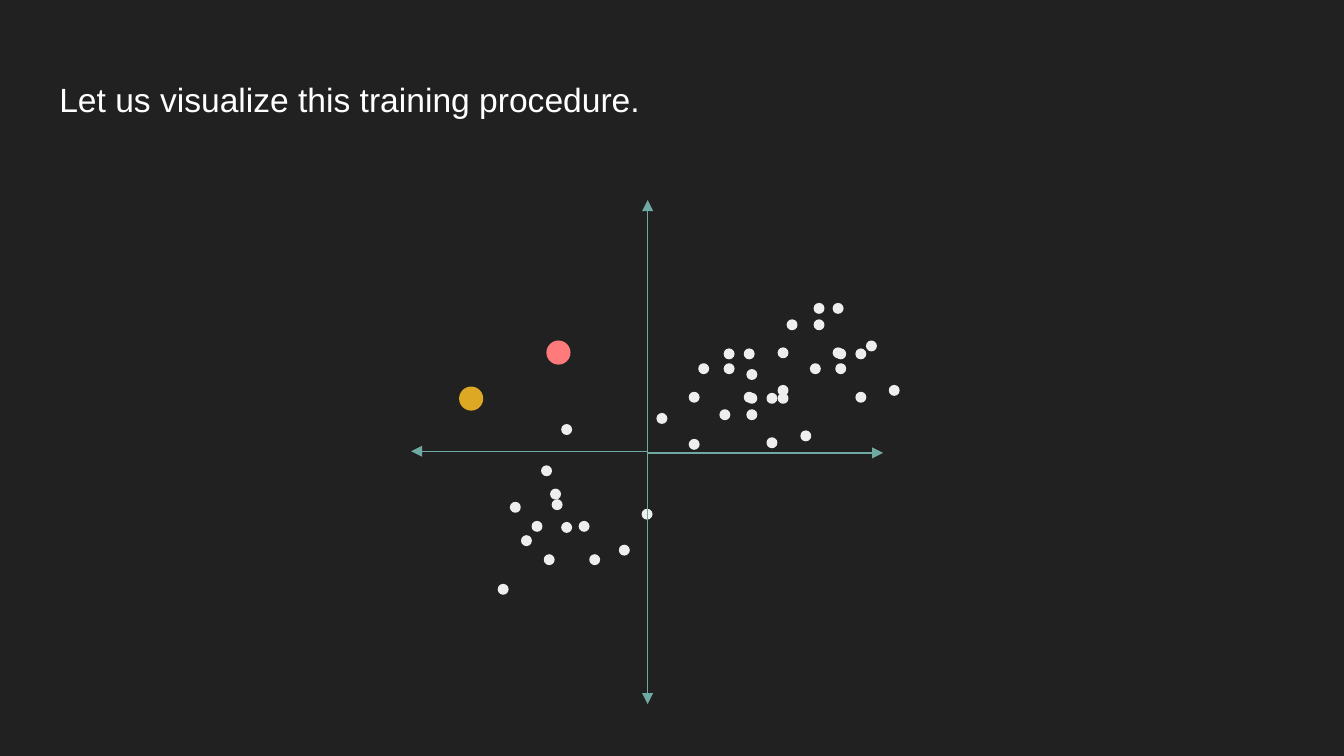
from pptx import Presentation
from pptx.dml.color import RGBColor
from pptx.enum.shapes import MSO_CONNECTOR, MSO_SHAPE
from pptx.enum.text import MSO_ANCHOR, MSO_AUTO_SIZE, PP_ALIGN
from pptx.oxml.ns import qn
from pptx.util import Cm, Pt
from lxml import etree

BACKGROUND = RGBColor(0x21, 0x21, 0x21)
WHITE = RGBColor(0xFF, 0xFF, 0xFF)
TEAL = RGBColor(0x70, 0xA9, 0xA1)
LIGHT = RGBColor(0xEE, 0xEE, 0xEE)
GOLD = RGBColor(0xDD, 0xA8, 0x24)
CORAL = RGBColor(0xFF, 0x7A, 0x7A)

DOT, CENTROID = 0.18, 0.43  # diameters in cm

# Left and top of each data point, in cm
LOWER_LEFT = [
    (10.29, 10.49), (11.71, 10.31), (10.44, 9.45), (10.62, 8.03), (12.14, 9.63),
    (9.86, 10.13), (10.62, 9.88), (11.15, 10.49), (9.42, 11.05), (10.06, 9.86),
    (10.24, 8.81), (9.65, 9.5), (10.41, 9.25), (10.95, 9.86),
]
UPPER_RIGHT = [
    (13.69, 6.6), (14.07, 7.42), (12.42, 7.82), (14.07, 6.6), (13.03, 8.31),
    (13.03, 7.42), (13.69, 6.88), (13.21, 6.88), (14.71, 7.29), (14.12, 7.44),
    (14.5, 8.28), (14.5, 7.44), (14.12, 7.75), (13.61, 7.75), (15.14, 8.15),
    (15.39, 5.74), (15.75, 6.58), (14.12, 6.99), (15.75, 5.74), (14.71, 7.44),
    (14.71, 6.58), (15.39, 6.05), (14.88, 6.05), (16.38, 6.45), (15.8, 6.6),
    (16.18, 7.42), (16.18, 6.6), (15.8, 6.88), (15.32, 6.88), (16.81, 7.29),
]
# Start and end of each half axis, in cm
AXES = [
    (12.24, 8.56, 12.24, 3.78),
    (12.24, 8.56, 16.69, 8.56),
    (12.24, 8.56, 12.24, 13.31),
    (12.24, 8.53, 7.77, 8.53),
]


def add_dot(s, left, top, size, color):
    dot = s.shapes.add_shape(MSO_SHAPE.OVAL, Cm(left), Cm(top), Cm(size), Cm(size))
    dot.shadow.inherit = False
    dot.fill.solid()
    dot.fill.fore_color.rgb = color
    dot.line.color.rgb = color
    dot.line.width = Pt(0.75)


prs = Presentation()
prs.slide_width, prs.slide_height = Cm(25.4), Cm(14.29)
s = prs.slides.add_slide(prs.slide_layouts[5])
s.background.fill.solid()
s.background.fill.fore_color.rgb = BACKGROUND

title = s.shapes.title
title.left, title.top, title.width, title.height = Cm(0.87), Cm(1.24), Cm(23.67), Cm(1.6)
tf = title.text_frame
tf.margin_left = tf.margin_right = tf.margin_top = tf.margin_bottom = Cm(0.25)
tf.word_wrap = True
tf.auto_size = MSO_AUTO_SIZE.NONE
tf.vertical_anchor = MSO_ANCHOR.TOP
p = tf.paragraphs[0]
p.text = "Let us visualize this training procedure."
p.alignment = PP_ALIGN.LEFT
p.font.name = "Arial"
p.font.size = Pt(18)
p.font.color.rgb = WHITE

for left, top in LOWER_LEFT + UPPER_RIGHT:
    add_dot(s, left, top, DOT, LIGHT)

for x1, y1, x2, y2 in AXES:
    axis = s.shapes.add_connector(MSO_CONNECTOR.STRAIGHT, Cm(x1), Cm(y1), Cm(x2), Cm(y2))
    axis.line.color.rgb = TEAL
    axis.line.width = Pt(0.75)
    etree.SubElement(axis.line._get_or_add_ln(), qn("a:tailEnd"), type="triangle")
    etree.SubElement(axis._element.spPr, qn("a:effectLst"))

add_dot(s, 8.69, 7.32, CENTROID, GOLD)
add_dot(s, 10.34, 6.45, CENTROID, CORAL)

prs.save("out.pptx")
